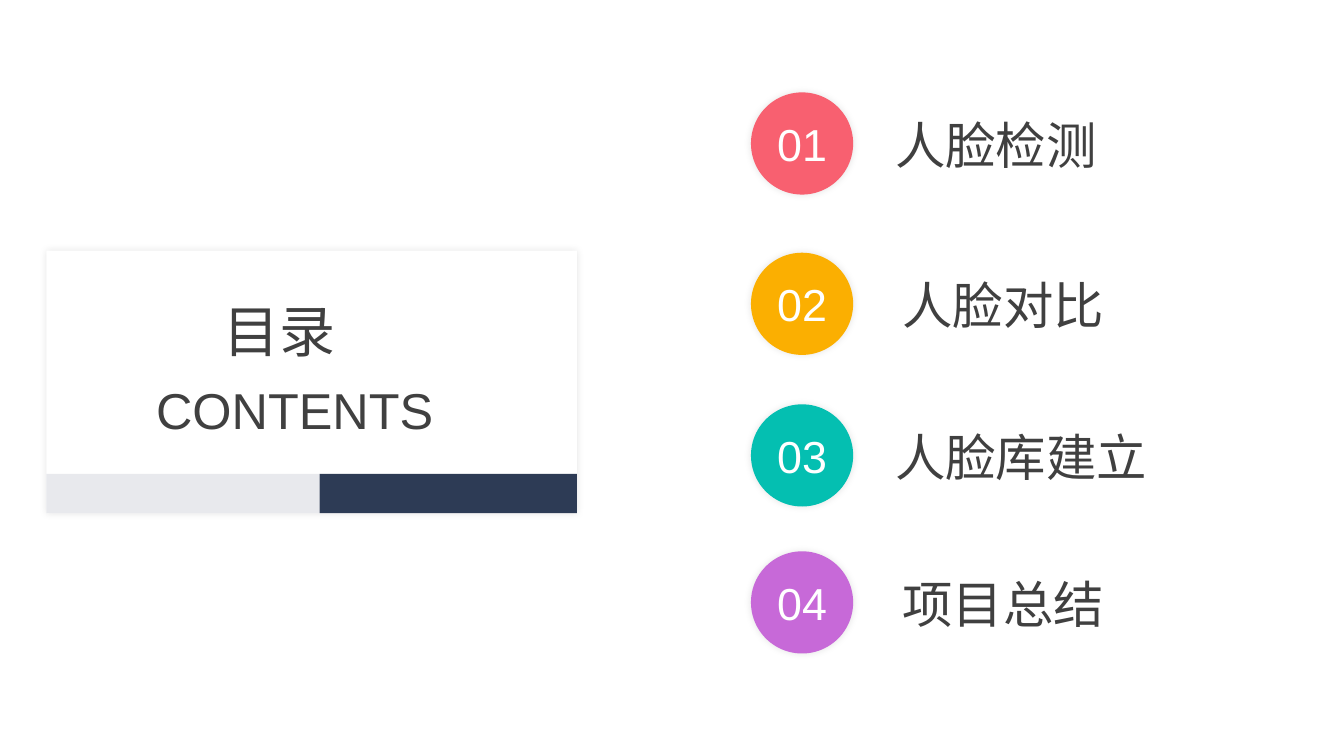
"""Build a contents slide with a title card and four numbered topics."""
from dataclasses import dataclass

from lxml import etree
from pptx import Presentation
from pptx.dml.color import RGBColor
from pptx.enum.shapes import MSO_SHAPE
from pptx.enum.text import MSO_ANCHOR, MSO_AUTO_SIZE, PP_ALIGN
from pptx.oxml.ns import qn
from pptx.shapes.autoshape import Shape
from pptx.slide import Slide
from pptx.text.text import TextFrame
from pptx.util import Pt

RECTANGLE, OVAL = MSO_SHAPE.RECTANGLE, MSO_SHAPE.OVAL
TOP, MIDDLE = MSO_ANCHOR.TOP, MSO_ANCHOR.MIDDLE
LEFT, CENTER = PP_ALIGN.LEFT, PP_ALIGN.CENTER
NO_AUTOFIT = MSO_AUTO_SIZE.NONE


@dataclass(frozen=True)
class Theme:
    font: str = "Arial"
    text: str = "404040"
    white: str = "FFFFFF"
    pale: str = "E8E9ED"
    navy: str = "2D3B55"
    shadow: str = "000000"
    title_size: float = 40
    body_size: float = 36
    number_size: float = 32


@dataclass(frozen=True)
class Box:
    left: float
    top: float
    width: float
    height: float


@dataclass(frozen=True)
class Panel:
    box: Box
    color: str
    shadow_percent: int = 0


@dataclass(frozen=True)
class Topic:
    label: str
    color: str
    circle_top: float
    indent: float


THEME = Theme()
PANELS = (
    Panel(Box(33.1, 179.1, 379, 187.4), THEME.white, 11),
    Panel(Box(33.1, 338.4, 195.2, 28.1), THEME.pale),
    Panel(Box(228.3, 338.4, 183.8, 28.1), THEME.navy),
)
TOPICS = (
    Topic("人脸检测", "F86070", 66, 0),
    Topic("人脸对比", "FBAF01", 180.5, 5.2),
    Topic("人脸库建立", "04BFB1", 288.8, 0),
    Topic("项目总结", "C769D8", 393.8, 5.2),
)
TITLE_BOX = Box(152.6, 208.1, 140.4, 55.4)
SUBTITLE_BOX = Box(104.4, 267.1, 236.2, 51.1)
LIST_BOX = Box(632.2, 77, 220, 385)
CIRCLE_LEFT, CIRCLE_SIZE = 536.4, 73
LINE_HEIGHT = 44


def place(shape: Shape, box: Box) -> None:
    shape.left, shape.top = Pt(box.left), Pt(box.top)
    shape.width, shape.height = Pt(box.width), Pt(box.height)


def format_text(text_frame: TextFrame, size: float, color: str,
                alignment: PP_ALIGN = LEFT, anchor: MSO_ANCHOR = TOP) -> None:
    text_frame.word_wrap = True
    text_frame.auto_size = NO_AUTOFIT
    text_frame.vertical_anchor = anchor
    for paragraph in text_frame.paragraphs:
        paragraph.alignment = alignment
        paragraph.space_before = Pt(0)
        for run in paragraph.runs:
            run.font.name = THEME.font
            run.font.size = Pt(size)
            run.font.color.rgb = RGBColor.from_string(color)


def add_glow(shape: Shape, percent: int) -> None:
    effects = shape._element.spPr.find(qn("a:effectLst"))
    shadow = etree.SubElement(effects, qn("a:outerShdw"), blurRad=str(Pt(5)),
                              dist="0", dir="0", algn="ctr", rotWithShape="0")
    color = etree.SubElement(shadow, qn("a:srgbClr"), val=THEME.shadow)
    etree.SubElement(color, qn("a:alpha"), val=str(percent * 1000))


def add_panel(slide: Slide, panel: Panel, kind: MSO_SHAPE = RECTANGLE) -> Shape:
    box = panel.box
    shape = slide.shapes.add_shape(kind, Pt(box.left), Pt(box.top),
                                   Pt(box.width), Pt(box.height))
    shape.fill.solid()
    shape.fill.fore_color.rgb = RGBColor.from_string(panel.color)
    shape.line.fill.background()
    shape.shadow.inherit = False
    if panel.shadow_percent:
        add_glow(shape, panel.shadow_percent)
    return shape


def add_title(slide: Slide) -> None:
    title = slide.shapes.title
    place(title, TITLE_BOX)
    title.text_frame.text = "目录"
    format_text(title.text_frame, THEME.title_size, THEME.text)
    title._element.getparent().append(title._element)


def add_subtitle(slide: Slide) -> None:
    box = SUBTITLE_BOX
    subtitle = slide.shapes.add_textbox(Pt(box.left), Pt(box.top),
                                        Pt(box.width), Pt(box.height))
    subtitle.text_frame.text = "CONTENTS"
    format_text(subtitle.text_frame, THEME.body_size, THEME.text)


def add_circles(slide: Slide) -> None:
    for number, topic in enumerate(TOPICS, start=1):
        box = Box(CIRCLE_LEFT, topic.circle_top, CIRCLE_SIZE, CIRCLE_SIZE)
        circle = add_panel(slide, Panel(box, topic.color, 9), OVAL)
        circle.text_frame.text = f"{number:02d}"
        format_text(circle.text_frame, THEME.number_size, THEME.white, CENTER, MIDDLE)


def add_topic_list(slide: Slide) -> None:
    body = slide.placeholders[1]
    place(body, LIST_BOX)
    body.text_frame.text = "\n".join(topic.label for topic in TOPICS)
    format_text(body.text_frame, THEME.body_size, THEME.text)
    previous_top = TOPICS[0].circle_top - LINE_HEIGHT
    for topic, paragraph in zip(TOPICS, body.text_frame.paragraphs):
        paragraph.line_spacing = Pt(LINE_HEIGHT)
        paragraph.space_before = Pt(topic.circle_top - previous_top - LINE_HEIGHT)
        previous_top = topic.circle_top
        properties = paragraph._p.get_or_add_pPr()
        properties.set("marL", str(Pt(topic.indent)))
        properties.set("indent", "0")
        etree.SubElement(properties, qn("a:buNone"))


def main() -> None:
    presentation = Presentation()
    presentation.slide_width, presentation.slide_height = Pt(960), Pt(540)
    slide = presentation.slides.add_slide(presentation.slide_layouts[1])
    for panel in PANELS:
        add_panel(slide, panel)
    add_title(slide)
    add_subtitle(slide)
    add_circles(slide)
    add_topic_list(slide)
    presentation.save("out.pptx")


if __name__ == "__main__":
    main()
